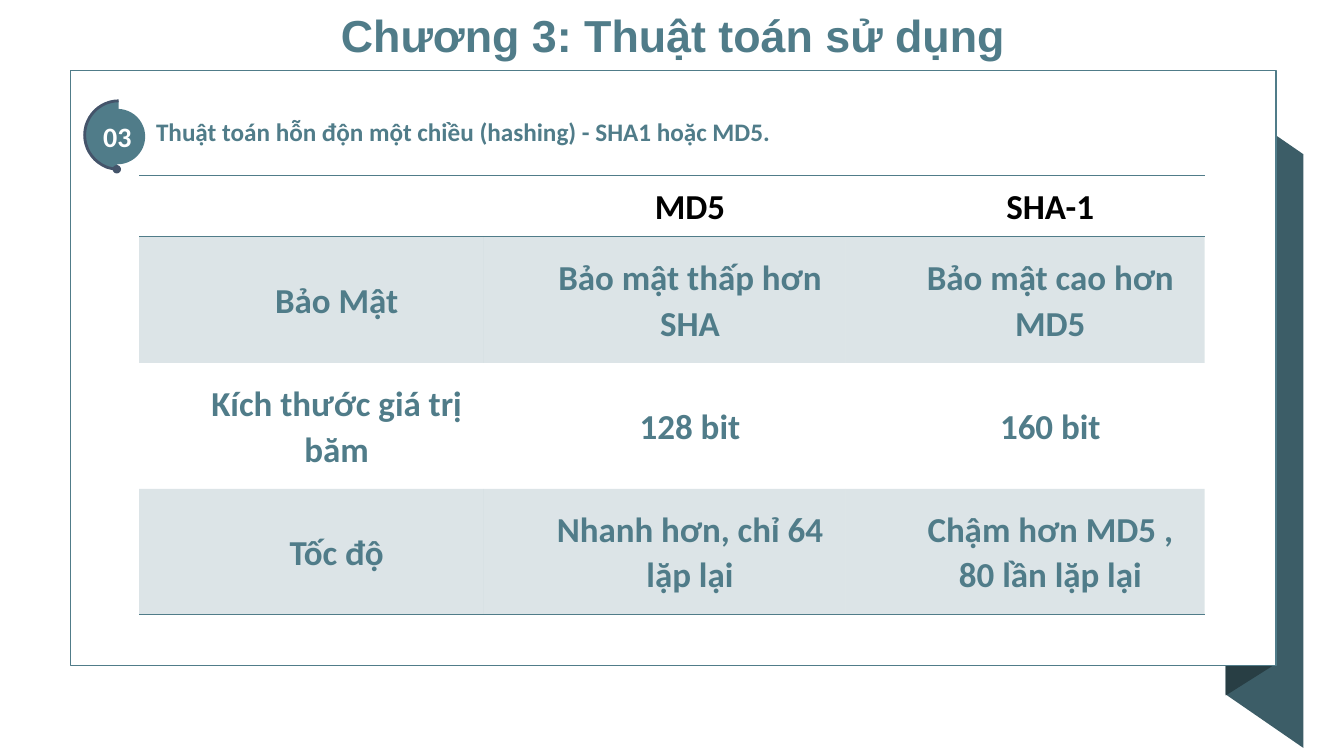
from lxml import etree
from pptx import Presentation
from pptx import util as u
from pptx.dml.color import RGBColor
from pptx.enum import shapes, text
from pptx.oxml import ns

TEAL = RGBColor(0x50, 0x7C, 0x89)
RIBBON = RGBColor(0x3C, 0x5D, 0x67)
FOLD = RGBColor(0x28, 0x3E, 0x44)
SLATE = RGBColor(0x44, 0x54, 0x6A)
WHITE = RGBColor(0xFF, 0xFF, 0xFF)
BLACK = RGBColor(0, 0, 0)

UNIT = u.Inches(13.333) / 80
PLAIN_TABLE = "{2D5ABB26-0587-4C30-8999-92F81FD0307C}"

COMPARISON = [
    ["", "MD5", "SHA-1"],
    ["Bảo Mật", "Bảo mật thấp hơn SHA", "Bảo mật cao hơn MD5"],
    ["Kích thước giá trị băm", "128 bit", "160 bit"],
    ["Tốc độ", "Nhanh hơn, chỉ 64 lặp lại", "Chậm hơn MD5 , 80 lần lặp lại"],
]


def grid(*lengths):
    return [u.Emu(round(length * UNIT)) for length in lengths]


def write(frame, words, size=18, color=TEAL, font="Calibri", align=text.PP_ALIGN.CENTER,
          spacing=None, after=None, indent=0):
    paragraph = frame.paragraphs[0]
    paragraph.text = words
    paragraph.alignment = align
    paragraph.line_spacing = spacing
    paragraph.space_after = after
    if indent:
        properties = paragraph._p.get_or_add_pPr()
        properties.set("marL", str(u.Inches(indent)))
        properties.set("indent", "0")
    style = paragraph.runs[0].font
    style.name, style.size, style.bold = font, u.Pt(size), True
    style.color.rgb = color


class SlideBuilder:
    def __init__(self, slide):
        self.slide = slide

    def paint(self, shape, fill, line=None, width=1):
        shape.shadow.inherit = False
        shape.fill.solid()
        shape.fill.fore_color.rgb = fill
        if line is None:
            shape.line.fill.background()
        else:
            shape.line.color.rgb = line
            shape.line.width = u.Pt(width)
        return shape

    def title(self, words, box):
        title = self.slide.shapes.title
        title.left, title.top, title.width, title.height = grid(*box)
        title.text_frame.vertical_anchor = text.MSO_ANCHOR.MIDDLE
        title.text_frame.auto_size = text.MSO_AUTO_SIZE.NONE
        write(title.text_frame, words, size=32, font="Arial")

    def label(self, words, box, **style):
        frame = self.slide.shapes.add_textbox(*grid(*box)).text_frame
        frame.word_wrap = True
        write(frame, words, **style)

    def shape(self, kind, box, fill, line=None, width=1):
        shape = self.slide.shapes.add_shape(kind, *grid(*box))
        return self.paint(shape, fill, line, width)

    def outline(self, points, fill):
        start, *rest = [grid(*point) for point in points]
        builder = self.slide.shapes.build_freeform(*start)
        builder.add_line_segments(rest, close=True)
        self.paint(builder.convert_to_shape(), fill)

    def badge(self, number, arc_box, disc_box):
        arc = self.shape(shapes.MSO_SHAPE.ARC, arc_box, TEAL, SLATE, 2)
        arc.adjustments[0], arc.adjustments[1] = 56.141, 161.742
        line = arc.line._get_or_add_ln()
        etree.SubElement(line, ns.qn("a:headEnd"), type="oval")
        disc = self.shape(shapes.MSO_SHAPE.OVAL, disc_box, TEAL)
        frame = disc.text_frame
        frame.margin_left = frame.margin_right = frame.margin_top = frame.margin_bottom = 0
        frame.word_wrap = False
        frame.vertical_anchor = text.MSO_ANCHOR.MIDDLE
        write(frame, number, size=20, color=WHITE)
        self.slide.shapes.add_group_shape([arc, disc])

    def border(self, cell, side):
        properties = cell._tc.get_or_add_tcPr()
        line = etree.SubElement(properties, ns.qn(f"a:ln{side}"), w=str(u.Pt(1)))
        fill = etree.SubElement(line, ns.qn("a:solidFill"))
        etree.SubElement(fill, ns.qn("a:srgbClr"), val=str(TEAL))

    def tint(self, cell, percent):
        cell.fill.solid()
        cell.fill.fore_color.rgb = TEAL
        color = cell._tc.tcPr.find(".//" + ns.qn("a:srgbClr") + "[last()]") \
            if len(cell._tc.tcPr) == 1 else cell._tc.tcPr[-1][0]
        etree.SubElement(color, ns.qn("a:alpha"), val=str(percent * 1000))

    def table(self, rows, left, top, widths, heights):
        box = grid(left, top, sum(widths), sum(heights))
        table = self.slide.shapes.add_table(len(rows), len(widths), *box).table
        table.first_row = table.horz_banding = False
        table._tbl.tblPr.find(ns.qn("a:tableStyleId")).text = PLAIN_TABLE
        for column, width in zip(table.columns, grid(*widths)):
            column.width = width
        for row, height in zip(table.rows, grid(*heights)):
            row.height = height
        for r, row in enumerate(rows):
            sides = "TB" if r == 0 else "B" if r == len(rows) - 1 else ""
            for c, words in enumerate(row):
                cell = table.cell(r, c)
                cell.margin_left = cell.margin_right = u.Inches(0.16)
                cell.margin_top = cell.margin_bottom = 0
                cell.vertical_anchor = text.MSO_ANCHOR.MIDDLE
                for side in sides:
                    self.border(cell, side)
                if r % 2:
                    self.tint(cell, 20)
                else:
                    cell.fill.background()
                if words:
                    write(cell.text_frame, words, size=25, color=TEAL if r else BLACK,
                          spacing=1.07, indent=0.5,
                          after=u.Pt(8) if c == len(row) - 1 else None)


def main():
    presentation = Presentation()
    presentation.slide_width, presentation.slide_height = u.Inches(13.333), u.Inches(7.5)
    builder = SlideBuilder(presentation.slides.add_slide(presentation.slide_layouts[5]))

    builder.outline([(77.58, 44.52), (72.96, 41.34), (72.96, 6), (77.58, 9.18)], RIBBON)
    builder.outline([(75.72, 39.66), (72.96, 41.4), (72.96, 6), (75.72, 4.2)], FOLD)
    builder.shape(shapes.MSO_SHAPE.RECTANGLE, (4.2, 4.2, 71.76, 35.4), WHITE, TEAL)
    builder.table(COMPARISON, 8.28, 10.44, [20.52, 21.54, 21.36], [3.66] + [7.5] * 3)
    builder.label("Thuật toán hỗn độn một chiều (hashing) - SHA1 hoặc MD5.",
                  (8.7, 6.48, 39.12, 2.46), align=text.PP_ALIGN.LEFT,
                  spacing=1.07, after=u.Pt(8))
    builder.badge("03", (5.04, 6, 4.08, 4.08), (5.34, 6.48, 3.3, 3.3))
    builder.title("Chương 3: Thuật toán sử dụng", (17.22, 0.12, 45.72, 3.84))

    presentation.save("out.pptx")


if __name__ == "__main__":
    main()
